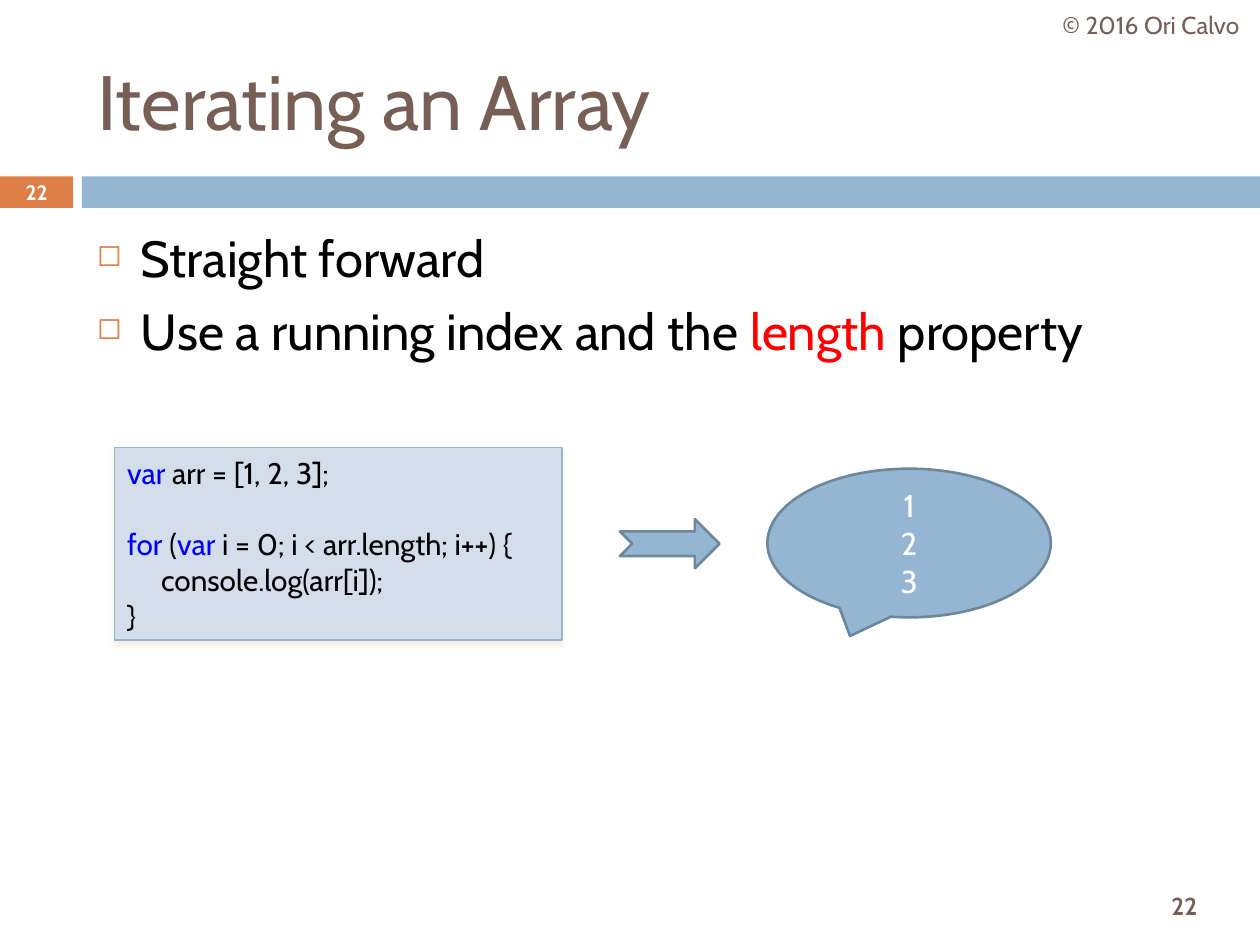
"""Build the "Iterating an Array" slide."""
from lxml import etree
from pptx import Presentation
from pptx.dml.color import RGBColor
from pptx.enum.shapes import MSO_SHAPE
from pptx.enum.text import MSO_ANCHOR, PP_ALIGN
from pptx.oxml import parse_xml
from pptx.oxml.ns import nsdecls, qn
from pptx.util import Inches, Pt

RECT = MSO_SHAPE.RECTANGLE
ARROW = MSO_SHAPE.NOTCHED_RIGHT_ARROW
CALLOUT = MSO_SHAPE.OVAL_CALLOUT
MIDDLE, TOP = MSO_ANCHOR.MIDDLE, MSO_ANCHOR.TOP
LEFT, CENTER = PP_ALIGN.LEFT, PP_ALIGN.CENTER
FONT = "Cabin"
COLORS = {
    "brown": "775F55", "orange": "DD8047", "blue": "94B6D2",
    "edge": "6D879B", "pale": "D3DEEA", "sand": "EBDDC3",
    "keyword": "0000FF", "red": "FF0000", "black": "000000", "white": "FFFFFF",
}


def rgb(name):
    return RGBColor.from_string(COLORS[name])


def place(sp, box):
    for name, value in zip(("left", "top", "width", "height"), box):
        setattr(sp, name, Inches(value))


def write(sp, lines, size, color, align=LEFT, anchor=MIDDLE, bold=False, wrap=True):
    """Fill a shape with lines, each a list of (text, color or None) runs."""
    tf = sp.text_frame
    tf.word_wrap = wrap
    tf.vertical_anchor = anchor
    for i, runs in enumerate(lines):
        p = tf.paragraphs[0] if i == 0 else tf.add_paragraph()
        p.alignment = align
        for text, tint in runs:
            r = p.add_run()
            r.text = text
            formats = {"name": FONT, "size": Pt(size), "bold": bold}
            for key, value in formats.items():
                setattr(r.font, key, value)
            r.font.color.rgb = rgb(tint or color)
    return tf


def add_text(slide, box, lines, size, color, **options):
    sp = slide.shapes.add_textbox(*map(Inches, box))
    tf = write(sp, lines, size, color, **options)
    place(sp, box)
    return tf


def add_shape(slide, kind, box, fill, line=None, width=1.5):
    sp = slide.shapes.add_shape(kind, *map(Inches, box))
    sp.shadow.inherit = False
    sp.fill.solid()
    sp.fill.fore_color.rgb = rgb(fill)
    if line:
        sp.line.color.rgb = rgb(line)
        sp.line.width = Pt(width)
    else:
        sp.line.fill.background()
    return sp


def indent(p, left, first=0):
    pPr = p._p.get_or_add_pPr()
    pPr.set("marL", str(Inches(left)))
    pPr.set("indent", str(Inches(first)))
    return pPr


def add_bullet(p):
    p.space_before = Pt(7)
    pPr = indent(p, 0.35, -0.35)
    color = etree.SubElement(pPr, qn("a:buClr"))
    etree.SubElement(color, qn("a:srgbClr"), val=COLORS["orange"])
    etree.SubElement(pPr, qn("a:buSzPct"), val="60000")
    etree.SubElement(pPr, qn("a:buChar"), char="◻")


def add_shadow(sp):
    spPr = sp._element.spPr
    spPr.remove(spPr.find(qn("a:effectLst")))
    spPr.append(parse_xml(
        f'<a:effectLst {nsdecls("a")}><a:outerShdw blurRad="{Pt(3)}" dist="{Pt(2.4)}" '
        f'dir="5400000" rotWithShape="0"><a:srgbClr val="{COLORS["sand"]}">'
        '<a:alpha val="45000"/></a:srgbClr></a:outerShdw></a:effectLst>'))


def add_bullets(slide):
    lines = [
        [("Straight forward", None)],
        [("Use a running index and the ", None), ("length", "red"), (" property", None)],
    ]
    tf = add_text(slide, (0.67, 1.75, 8.92, 4.92), lines, 29, "black", anchor=TOP)
    for p in tf.paragraphs:
        add_bullet(p)


def add_code(slide):
    lines = [
        [("var ", "keyword"), ("arr = [1, 2, 3];", None)],
        [("for", "keyword"), (" (", None), ("var ", "keyword"),
         ("i = 0; i < arr.length; i++) {", None)],
        [("console.log(arr[i]);", None)],
        [("}", None)],
    ]
    sp = add_shape(slide, RECT, (0.91, 3.55, 3.55, 1.53), "pale", "blue", 0.75)
    add_shadow(sp)
    tf = write(sp, lines, 17, "black", wrap=False)
    tf.paragraphs[1].space_before = Pt(20.5)
    indent(tf.paragraphs[2], 0.27)


def main():
    prs = Presentation()
    prs.slide_width, prs.slide_height = Inches(10), Inches(7.5)
    slide = prs.slides.add_slide(prs.slide_layouts[5])

    title = slide.shapes.title
    place(title, (0.67, 0.25, 8.92, 1.08))
    write(title, [[("Iterating an Array", None)]], 44, "brown")

    add_shape(slide, RECT, (0, 1.4, 0.58, 0.25), "orange")
    add_shape(slide, RECT, (0.65, 1.4, 9.35, 0.25), "blue")
    labels = [
        ((8.94, 6.98, 0.92, 0.42), "22", 14, "brown", True),
        ((8.27, 0, 1.73, 0.4), "© 2016 Ori Calvo", 14, "brown", False),
        ((0, 1.39, 0.58, 0.27), "22", 11.9, "white", True),
    ]
    for box, text, size, color, bold in labels:
        add_text(slide, box, [[(text, None)]], size, color, align=CENTER, bold=bold)

    add_bullets(slide)
    add_code(slide)
    add_shape(slide, ARROW, (4.92, 4.12, 0.79, 0.39), "blue", "edge")
    callout = add_shape(slide, CALLOUT, (6.09, 3.72, 2.25, 1.18), "blue", "edge")
    write(callout, [[(n, None)] for n in "123"], 18, "white", align=CENTER)
    prs.save("out.pptx")


if __name__ == "__main__":
    main()
